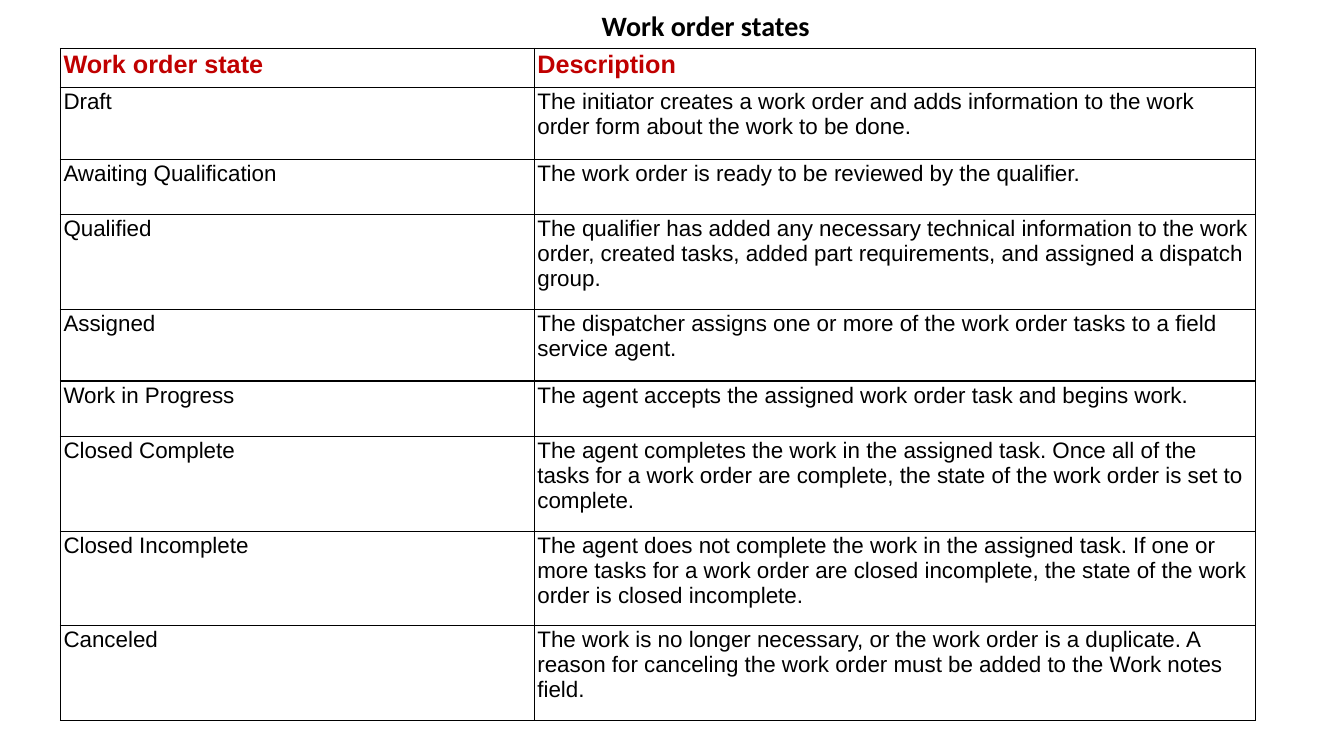
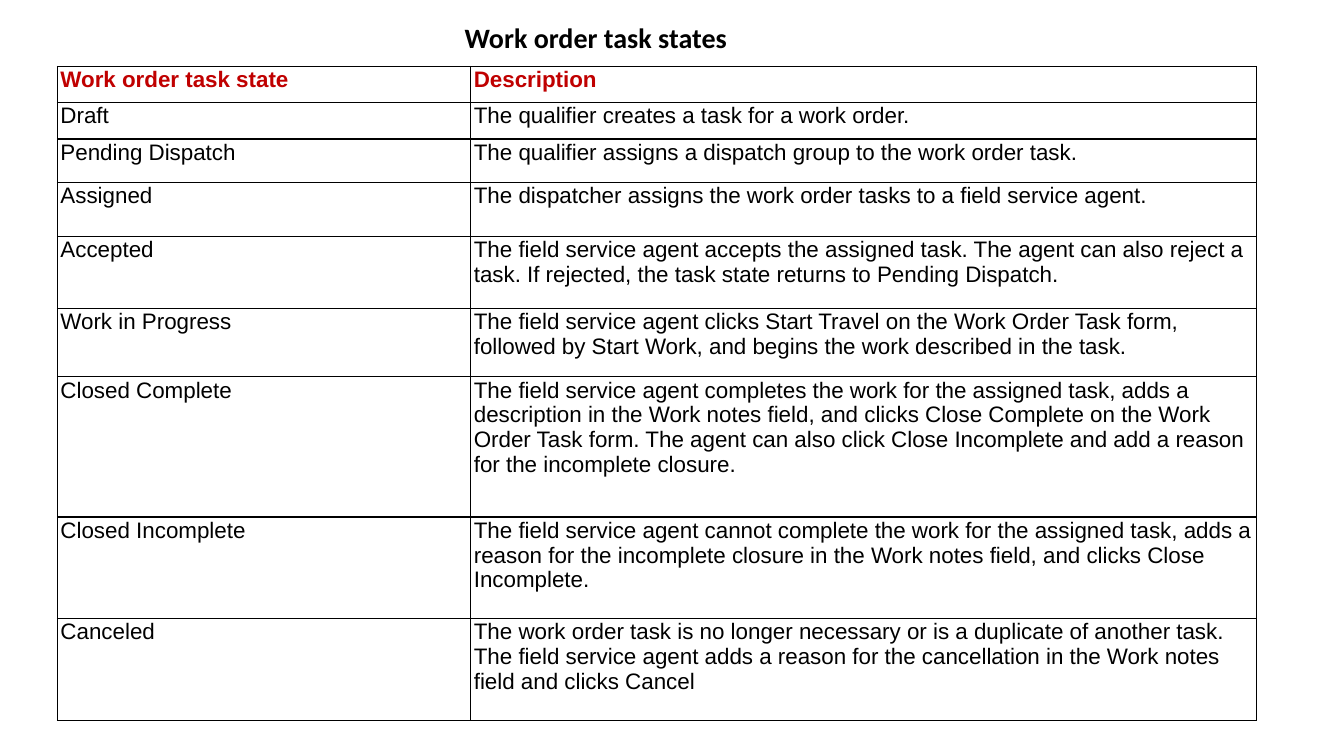
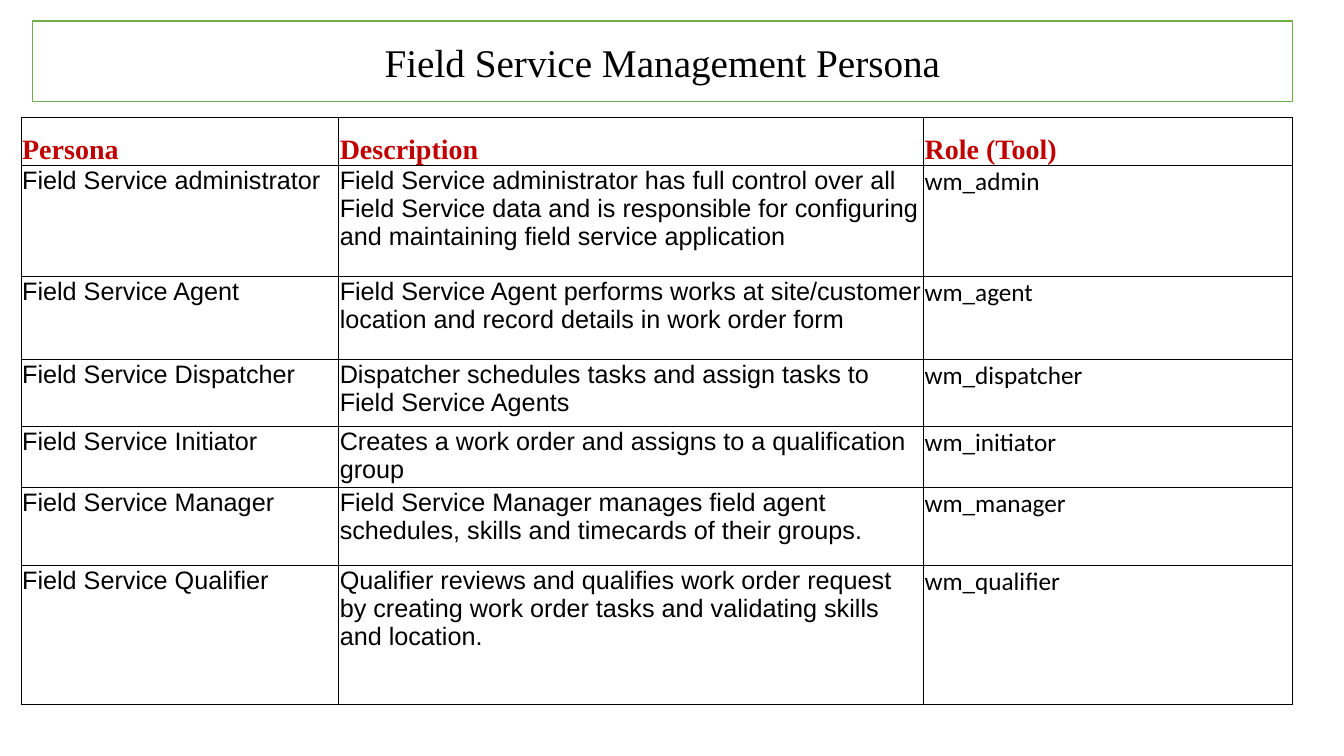
from lxml import etree
from pptx import Presentation
from pptx import util as u
from pptx.dml.color import RGBColor
from pptx.enum import shapes, text
from pptx.oxml import ns

BLACK, WHITE, RED, GREEN = "000000", "FFFFFF", "C00000", "70AD47"
SANS, SERIF, TITLE_FONT = "Arial", "Times New Roman", "Calibri"

WORK_ORDER_STATES = [
    ("Work order state", "Description"),
    ("Draft", "The initiator creates a work order and adds information to the work order form "
     "about the work to be done."),
    ("Awaiting Qualification", "The work order is ready to be reviewed by the qualifier."),
    ("Qualified", "The qualifier has added any necessary technical information to the work order, "
     "created tasks, added part requirements, and assigned a dispatch group."),
    ("Assigned", "The dispatcher assigns one or more of the work order tasks to a field service agent."),
    ("Work in Progress", "The agent accepts the assigned work order task and begins work."),
    ("Closed Complete", "The agent completes the work in the assigned task. Once all of the tasks "
     "for a work order are complete, the state of the work order is set to complete."),
    ("Closed Incomplete", "The agent does not complete the work in the assigned task. If one or more "
     "tasks for a work order are closed incomplete, the state of the work order is closed incomplete."),
    ("Canceled", "The work is no longer necessary, or the work order is a duplicate. A reason for "
     "canceling the work order must be added to the Work notes field."),
]

TASK_STATES = [
    ("Work order task state", "Description"),
    ("Draft", "The qualifier creates a task for a work order."),
    ("Pending Dispatch", "The qualifier assigns a dispatch group to the work order task."),
    ("Assigned", "The dispatcher assigns the work order tasks to a field service agent."),
    ("Accepted", "The field service agent accepts the assigned task. The agent can also reject a task. "
     "If rejected, the task state returns to Pending Dispatch."),
    ("Work in Progress", "The field service agent clicks Start Travel on the Work Order Task form, "
     "followed by Start Work, and begins the work described in the task."),
    ("Closed Complete", "The field service agent completes the work for the assigned task, adds a "
     "description in the Work notes field, and clicks Close Complete on the Work Order Task form. "
     "The agent can also click Close Incomplete and add a reason for the incomplete closure."),
    ("Closed Incomplete", "The field service agent cannot complete the work for the assigned task, adds "
     "a reason for the incomplete closure in the Work notes field, and clicks Close Incomplete."),
    ("Canceled", "The work order task is no longer necessary or is a duplicate of another task. The field "
     "service agent adds a reason for the cancellation in the Work notes field and clicks Cancel"),
]

PERSONAS = [
    ("Persona", "Description", "Role (Tool)"),
    ("Field Service administrator", "Field Service administrator has full control over all Field Service "
     "data and is responsible for configuring and maintaining field service application", "wm_admin"),
    ("Field Service Agent", "Field Service Agent performs works at site/customer location and record "
     "details in work order form", "wm_agent"),
    ("Field Service Dispatcher", "Dispatcher schedules tasks and assign tasks to Field Service Agents",
     "wm_dispatcher"),
    ("Field Service Initiator", "Creates a work order and assigns to a qualification group", "wm_initiator"),
    ("Field Service Manager", "Field Service Manager manages field agent schedules, skills and timecards "
     "of their groups.", "wm_manager"),
    ("Field Service Qualifier", "Qualifier reviews and qualifies work order request by creating work order "
     "tasks and validating skills and location.", "wm_qualifier"),
]


def color(value):
    return RGBColor.from_string(value)


def add_run(paragraph, words, size, font, ink=BLACK, bold=False):
    run = paragraph.add_run()
    run.text = words
    run.font.size = u.Pt(size)
    run.font.name = font
    run.font.bold = bold
    run.font.color.rgb = color(ink)


def set_borders(cell, width):
    properties = cell._tc.get_or_add_tcPr()
    for index, side in enumerate(("lnL", "lnR", "lnT", "lnB")):
        line = etree.Element(ns.qn(f"a:{side}"), w=str(u.Pt(width)))
        fill = etree.SubElement(line, ns.qn("a:solidFill"))
        etree.SubElement(fill, ns.qn("a:srgbClr"), val=BLACK)
        properties.insert(index, line)


def add_grid(slide, rows, left, top, widths, heights, margins, fonts, body_size,
             header_size, header_font=SANS, header_anchor=text.MSO_ANCHOR.TOP, border=1):
    """Draw a table with a red header row; fonts holds one body font per column."""
    table = slide.shapes.add_table(
        len(rows), len(widths), u.Inches(left), u.Inches(top),
        u.Inches(sum(widths)), u.Inches(sum(heights))).table
    table.first_row = table.horz_banding = False
    for column, width in zip(table.columns, widths):
        column.width = u.Inches(width)
    side, above, below = (u.Inches(margin) for margin in margins)
    for row_index, (row, height, entries) in enumerate(zip(table.rows, heights, rows)):
        row.height = u.Inches(height)
        for cell, words, font in zip(row.cells, entries, fonts):
            cell.margin_left = cell.margin_right = side
            cell.margin_top, cell.margin_bottom = above, below
            cell.fill.solid()
            cell.fill.fore_color.rgb = color(WHITE)
            set_borders(cell, border)
            paragraph = cell.text_frame.paragraphs[0]
            if row_index == 0:
                cell.vertical_anchor = header_anchor
                add_run(paragraph, words, header_size, header_font, RED, bold=True)
            else:
                add_run(paragraph, words, body_size, font)


def add_title(slide, words, left, top, width, align):
    box = slide.shapes.add_textbox(*map(u.Inches, (left, top, width, 0.44)))
    box.text_frame.word_wrap = True
    box.text_frame.auto_size = text.MSO_AUTO_SIZE.SHAPE_TO_FIT_TEXT
    paragraph = box.text_frame.paragraphs[0]
    paragraph.alignment = align
    add_run(paragraph, words, 20, TITLE_FONT, bold=True)


def add_framed_title(slide, words, left, top, width, height):
    shape = slide.shapes.add_shape(
        shapes.MSO_SHAPE.RECTANGLE, *map(u.Inches, (left, top, width, height)))
    shape.shadow.inherit = False
    shape.fill.solid()
    shape.fill.fore_color.rgb = color(WHITE)
    shape.line.color.rgb = color(GREEN)
    shape.line.width = u.Pt(1)
    shape.text_frame.word_wrap = True
    shape.text_frame.vertical_anchor = text.MSO_ANCHOR.MIDDLE
    paragraph = shape.text_frame.paragraphs[0]
    paragraph.alignment = text.PP_ALIGN.CENTER
    add_run(paragraph, words, 28, SERIF)


def main():
    presentation = Presentation()
    presentation.slide_width, presentation.slide_height = u.Inches(13.33), u.Inches(7.5)
    blank = presentation.slide_layouts[6]

    slide = presentation.slides.add_slide(blank)
    add_grid(slide, WORK_ORDER_STATES, 0.6, 0.48, (4.7, 7.15),
             (0.39, 0.71, 0.55, 0.94, 0.71, 0.55, 0.94, 0.94, 0.94),
             margins=(0.03, 0.02, 0.02), fonts=(SANS, SANS), body_size=16, header_size=18)
    add_title(slide, "Work order states", 5.03, 0.04, 3.94, text.PP_ALIGN.CENTER)

    slide = presentation.slides.add_slide(blank)
    add_grid(slide, TASK_STATES, 0.57, 0.66, (4.1, 7.79),
             (0.36, 0.36, 0.43, 0.54, 0.71, 0.68, 1.39, 1.01, 1.01),
             margins=(0.03, 0.01, 0.01), fonts=(SANS, SANS), body_size=16, header_size=16)
    add_title(slide, "Work order task states", 4.51, 0.15, 4.08, text.PP_ALIGN.LEFT)

    slide = presentation.slides.add_slide(blank)
    add_grid(slide, PERSONAS, 0.21, 1.17, (3.15, 5.8, 3.66),
             (0.47, 1.1, 0.83, 0.66, 0.56, 0.77, 1.38),
             margins=(0.01, 0.01, 0), fonts=(SANS, SANS, TITLE_FONT), body_size=18,
             header_size=20, header_font=SERIF, header_anchor=text.MSO_ANCHOR.BOTTOM, border=0.75)
    add_framed_title(slide, "Field Service Management Persona", 0.32, 0.21, 12.5, 0.8)

    presentation.save("out.pptx")


if __name__ == "__main__":
    main()
